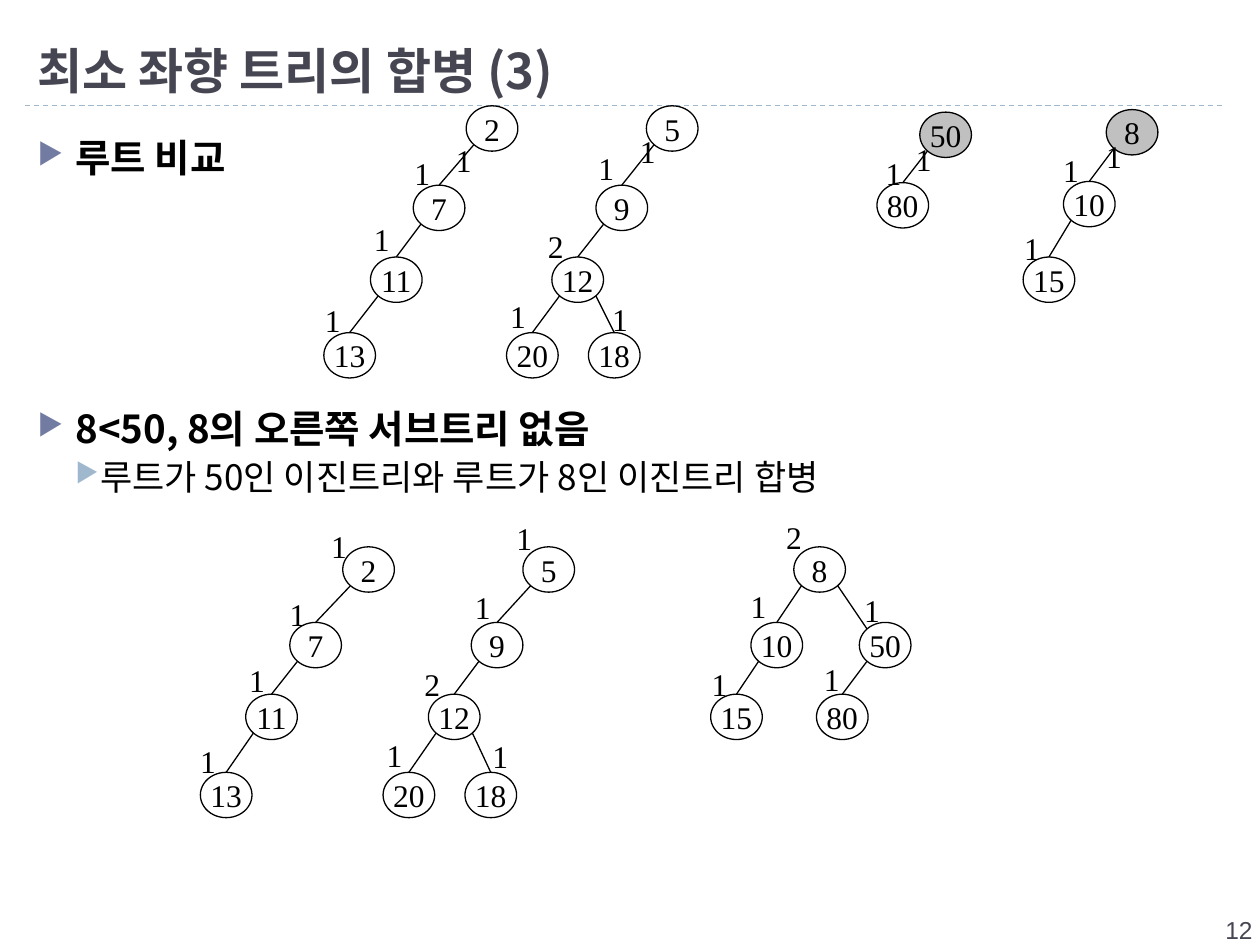
from lxml import etree
from pptx import Presentation
from pptx.dml.color import RGBColor
from pptx.enum import dml, shapes, text
from pptx.oxml import ns
from pptx.util import Inches, Pt

KOREAN = "Noto Sans CJK KR"
SERIF = "Times New Roman"
NODE_WIDTH, NODE_HEIGHT = 0.41, 0.36
CORNER_X, CORNER_Y = 0.06, 0.05


def color(value):
    return RGBColor.from_string(value)


def add_run(paragraph, words, size, name, ink="000000", bold=False):
    run = paragraph.add_run()
    run.text = words
    run.font.size = Pt(size)
    run.font.name = name
    run.font.bold = bold
    run.font.color.rgb = color(ink)
    if name == KOREAN:
        properties = run.font._element
        etree.SubElement(properties, ns.qn("a:ea"), typeface=name)


presentation = Presentation()
presentation.slide_width = Inches(10)
presentation.slide_height = Inches(7.5)
slide = presentation.slides.add_slide(presentation.slide_layouts[6])

rule = slide.shapes.add_connector(
    shapes.MSO_CONNECTOR.STRAIGHT, Inches(0.2), Inches(0.84), Inches(9.72), Inches(0.84)
)
rule.line.color.rgb = color("9FB8CD")
rule.line.width = Pt(0.75)
rule.line.dash_style = dml.MSO_LINE.DASH
etree.SubElement(rule._element.spPr, ns.qn("a:effectLst"))

title = slide.shapes.add_textbox(Inches(0.2), Inches(0.17), Inches(9.61), Inches(0.67))
title.text_frame.word_wrap = True
title.text_frame.vertical_anchor = text.MSO_ANCHOR.BOTTOM
add_run(title.text_frame.paragraphs[0], "최소 좌향 트리의 합병 (3)", 28, KOREAN, "464653", True)

number = slide.shapes.add_textbox(Inches(7.87), Inches(7.21), Inches(2.17), Inches(0.4))
number.text_frame.word_wrap = True
number.text_frame.paragraphs[0].alignment = text.PP_ALIGN.RIGHT
add_run(number.text_frame.paragraphs[0], "12", 14, "Arial", "464653")

# (words, size, bold, margin, hanging, bullet colour)
bullet_boxes = [
    (0.98, 0.6, [("루트 비교", 22, True, 0.3, 0.3, "727CA3")]),
    (3.13, 1.05, [
        ("8<50, 8의 오른쪽 서브트리 없음", 22, True, 0.3, 0.3, "727CA3"),
        ("루트가 50인 이진트리와 루트가 8인 이진트리 합병", 20, False, 0.49, 0.19, "9FB8CD"),
    ]),
]
for top, height, items in bullet_boxes:
    box = slide.shapes.add_textbox(Inches(0.2), Inches(top), Inches(9.61), Inches(height))
    box.text_frame.word_wrap = True
    for index, (words, size, bold, margin, hanging, bullet_color) in enumerate(items):
        paragraph = box.text_frame.add_paragraph() if index else box.text_frame.paragraphs[0]
        paragraph.line_spacing = 1.1
        properties = paragraph._p.get_or_add_pPr()
        properties.set("marL", str(Inches(margin)))
        properties.set("indent", str(-Inches(hanging)))
        bullet = etree.SubElement(properties, ns.qn("a:buClr"))
        etree.SubElement(bullet, ns.qn("a:srgbClr"), val=bullet_color)
        etree.SubElement(properties, ns.qn("a:buSzPct"), val="76000")
        etree.SubElement(properties, ns.qn("a:buChar"), char="▶")
        add_run(paragraph, words, size, KOREAN, bold=bold)

# value, left, top, parent, distance, distance left, distance top
trees = [
    [("2", 3.7, 0.84, None, "1", 3.52, 1.07), ("7", 3.28, 1.47, 0, "1", 3.19, 1.17),
     ("11", 2.94, 2.04, 1, "1", 2.87, 1.7), ("13", 2.57, 2.64, 2, "1", 2.48, 2.34)],
    [("5", 5.13, 0.84, None, "1", 4.98, 1), ("9", 4.73, 1.47, 0, "1", 4.65, 1.13),
     ("12", 4.38, 2.04, 1, "2", 4.25, 1.75), ("20", 4.02, 2.64, 2, "1", 3.95, 2.31),
     ("18", 4.67, 2.64, 2, "1", 4.76, 2.33)],
    [("50", 7.3, 0.89, None, "1", 7.17, 1.06), ("80", 6.96, 1.45, 0, "1", 6.93, 1.17)],
    [("8", 8.78, 0.87, None, "1", 8.68, 1.04), ("10", 8.44, 1.44, 0, "1", 8.34, 1.15),
     ("15", 8.12, 2.04, 1, "1", 8.03, 1.77)],
    [("2", 2.72, 4.34, None, "1", 2.53, 4.13), ("7", 2.3, 4.94, 0, "1", 2.2, 4.67),
     ("11", 1.95, 5.51, 1, "1", 1.88, 5.2), ("13", 1.59, 6.13, 2, "1", 1.49, 5.84)],
    [("5", 4.15, 4.34, None, "1", 4, 4.07), ("9", 3.74, 4.94, 0, "1", 3.67, 4.62),
     ("12", 3.4, 5.51, 1, "2", 3.27, 5.23), ("20", 3.04, 6.13, 2, "1", 2.97, 5.79),
     ("18", 3.69, 6.13, 2, "1", 3.81, 5.8)],
    [("8", 6.3, 4.34, None, "2", 6.14, 4.06), ("10", 5.96, 4.94, 0, "1", 5.86, 4.61),
     ("15", 5.64, 5.51, 1, "1", 5.55, 5.23), ("50", 6.82, 4.94, 0, "1", 6.76, 4.64),
     ("80", 6.48, 5.51, 3, "1", 6.44, 5.19)],
]
merging_trees = (2, 3)

for tree_index, tree in enumerate(trees):
    for value, left, top, parent, distance, distance_left, distance_top in tree:
        node = slide.shapes.add_shape(
            shapes.MSO_SHAPE.OVAL, Inches(left), Inches(top), Inches(NODE_WIDTH), Inches(NODE_HEIGHT)
        )
        node.shadow.inherit = False
        node.line.color.rgb = color("000000")
        node.line.width = Pt(0.75)
        if parent is None and tree_index in merging_trees:
            node.fill.solid()
            node.fill.fore_color.rgb = color("C0C0C0")
        else:
            node.fill.background()
        node.text_frame.word_wrap = False
        node.text_frame.vertical_anchor = text.MSO_ANCHOR.MIDDLE
        node.text_frame.paragraphs[0].alignment = text.PP_ALIGN.CENTER
        add_run(node.text_frame.paragraphs[0], value, 18, SERIF)

        label = slide.shapes.add_textbox(
            Inches(distance_left), Inches(distance_top), Inches(0.33), Inches(0.4)
        )
        label.text_frame.word_wrap = False
        add_run(label.text_frame.paragraphs[0], distance, 18, SERIF)

        if parent is None:
            continue
        parent_left, parent_top = tree[parent][1:3]
        is_right = left > parent_left
        start_x = parent_left + (NODE_WIDTH - CORNER_X if is_right else CORNER_X)
        start_y = parent_top + NODE_HEIGHT - CORNER_Y
        ends_at_corner = value == "50"
        end_x = left + (CORNER_X if ends_at_corner else NODE_WIDTH / 2)
        end_y = top + (CORNER_Y if ends_at_corner else 0)
        edge = slide.shapes.add_connector(
            shapes.MSO_CONNECTOR.STRAIGHT,
            Inches(start_x), Inches(start_y), Inches(end_x), Inches(end_y),
        )
        if not ends_at_corner:
            edge.end_connect(node, 0)
        edge.line.color.rgb = color("000000")
        edge.line.width = Pt(0.75)
        etree.SubElement(edge._element.spPr, ns.qn("a:effectLst"))

presentation.save("out.pptx")
